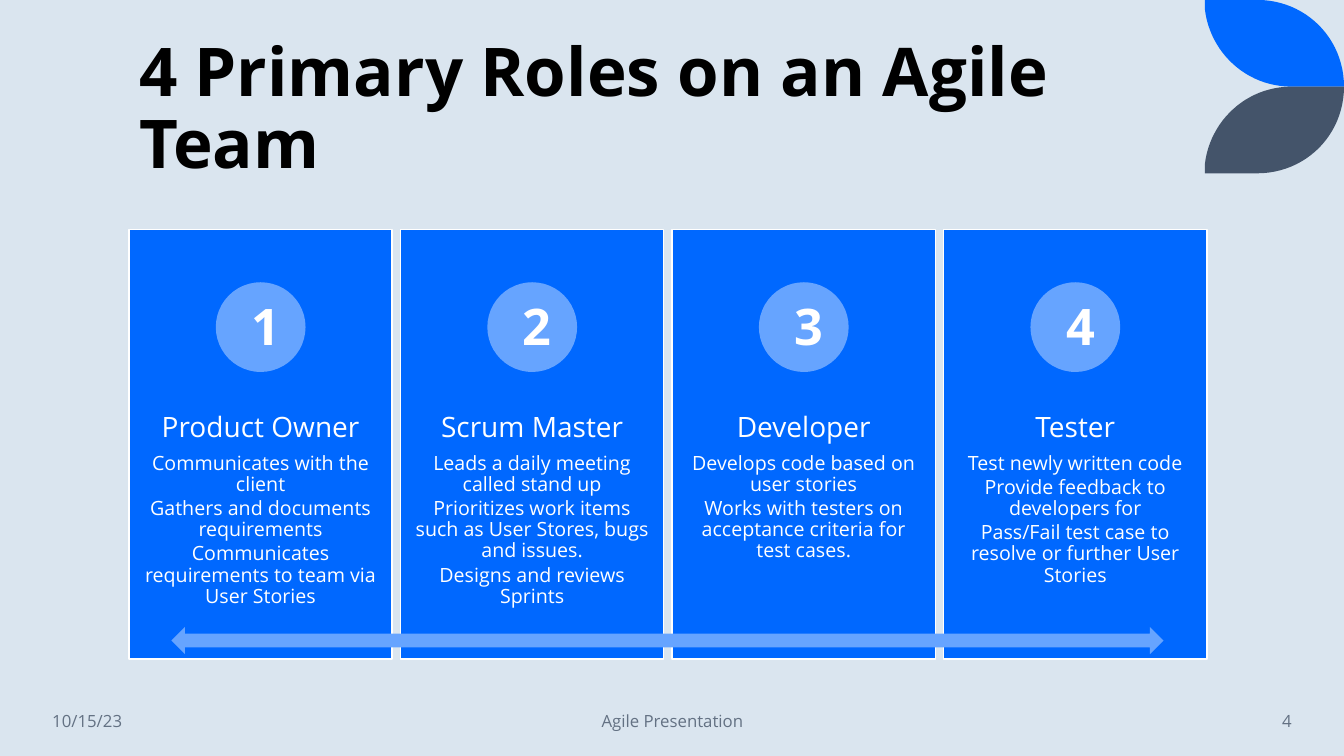
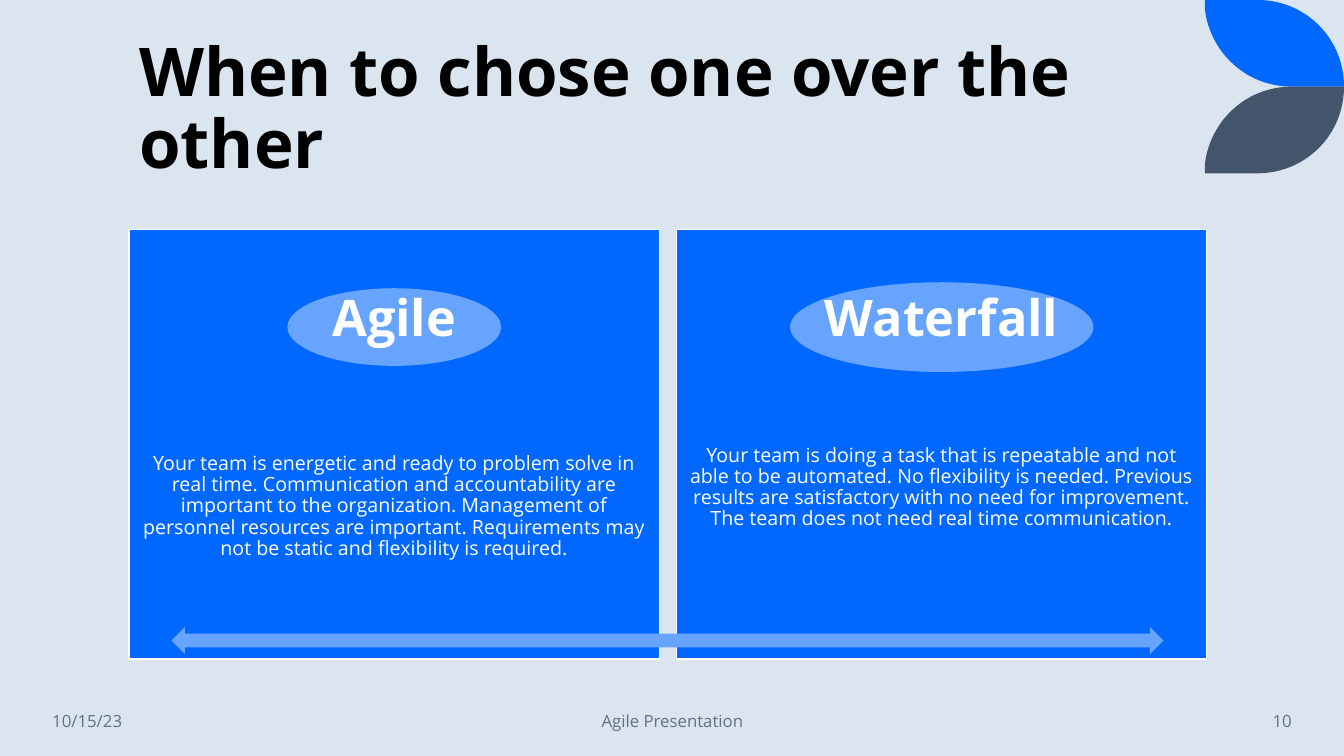
from pptx import Presentation
from pptx.dml.color import RGBColor
from pptx.enum.shapes import MSO_SHAPE
from pptx.enum.text import MSO_ANCHOR, MSO_AUTO_SIZE, PP_ALIGN
from pptx.util import Inches, Pt

RECT, OVAL, ARROW = MSO_SHAPE.RECTANGLE, MSO_SHAPE.OVAL, MSO_SHAPE.LEFT_RIGHT_ARROW
TOP, MIDDLE, BOTTOM = MSO_ANCHOR.TOP, MSO_ANCHOR.MIDDLE, MSO_ANCHOR.BOTTOM
LEFT, CENTER, RIGHT = PP_ALIGN.LEFT, PP_ALIGN.CENTER, PP_ALIGN.RIGHT

FONT = "Open Sans"
COLORS = {
    "background": "DAE5EF",
    "blue": "0068FF",
    "light_blue": "66A4FF",
    "slate": "44546A",
    "title": "000000",
    "white": "FFFFFF",
    "footer": "637183",
}
ROW_LEFT, ROW_WIDTH = 1.28, 10.69
CARD_TOP, CARD_HEIGHT = 2.28, 4.26
OVAL_MIDDLE = 3.245
LEAF_HEIGHT = 0.86
INSET = 0.11

# Each card: label, oval size, heading, points, top inset, anchor
CIRCLE = (0.89, 0.89)
SLIDES = [
    {
        "title": "4 Primary Roles on an Agile Team",
        "number": "4",
        "card_width": 2.61,
        "label_width": 0.38,
        "label_top": 2.88,
        "cards": [
            ("1", CIRCLE, "Product Owner", [
                "Communicates with the client",
                "Gathers and documents requirements",
                "Communicates requirements to team via User Stories",
            ], INSET, TOP),
            ("2", CIRCLE, "Scrum Master", [
                "Leads a daily meeting called stand up",
                "Prioritizes work items such as User Stores, bugs and issues.",
                "Designs and reviews Sprints",
            ], INSET, TOP),
            ("3", CIRCLE, "Developer", [
                "Develops code based on user stories",
                "Works with testers on acceptance criteria for test cases.",
            ], INSET, TOP),
            ("4", CIRCLE, "Tester", [
                "Test newly written code",
                "Provide feedback to developers for",
                "Pass/Fail test case to resolve or further User Stories",
            ], INSET, TOP),
        ],
    },
    {
        "title": "When to chose one over the other",
        "number": "10",
        "card_width": 5.26,
        "label_width": 3.23,
        "label_top": 2.79,
        "cards": [
            ("Agile", (2.12, 0.77), None, [
                "Your team is energetic and ready to problem solve in real time. "
                "Communication and accountability are important to the "
                "organization. Management of personnel resources are important. "
                "Requirements may not be static and flexibility is required.",
            ], 0.51, TOP),
            ("Waterfall", (3.01, 0.89), None, [
                "Your team is doing a task that is repeatable and not able to be "
                "automated. No flexibility is needed. Previous results are "
                "satisfactory with no need for improvement. The team does not "
                "need real time communication.",
            ], INSET, MIDDLE),
        ],
    },
]


def write(sp, lines, color, align=CENTER, anchor=TOP, bold=False, spacing=None):
    """Fill a shape with paragraphs given as (text, size, space after)."""
    tf = sp.text_frame
    tf.word_wrap = True
    tf.auto_size = MSO_AUTO_SIZE.NONE
    tf.vertical_anchor = anchor
    for i, (text, size, after) in enumerate(lines):
        p = tf.add_paragraph() if i else tf.paragraphs[0]
        p.text = text
        p.alignment = align
        p.line_spacing = spacing
        p.space_after = Pt(after)
        font = p.runs[0].font
        font.name, font.size, font.bold = FONT, Pt(size), bold
        font.color.rgb = RGBColor.from_string(COLORS[color])
    return tf


def paint(sp, fill, line=None):
    """Give a shape a flat fill and an optional 1 pt outline."""
    sp.shadow.inherit = False
    sp.fill.solid()
    sp.fill.fore_color.rgb = RGBColor.from_string(COLORS[fill])
    if line:
        sp.line.color.rgb = RGBColor.from_string(COLORS[line])
        sp.line.width = Pt(1)
    else:
        sp.line.fill.background()


prs = Presentation()
prs.slide_width, prs.slide_height = Inches(13.33), Inches(7.5)
background = prs.slide_master.background.fill
background.solid()
background.fore_color.rgb = RGBColor.from_string(COLORS["background"])

# Outline of the upper leaf: two Bezier curves sampled into short segments
leaf = [(11.95, 0)]
for curve in (
    [(12.47, 0), (12.95, 0), (13.33, 0.38), (13.33, LEAF_HEIGHT)],
    [(12.81, LEAF_HEIGHT), (12.36, LEAF_HEIGHT), (12, 0.52), (11.95, 0.09)],
):
    for step in range(25):
        t = step / 24
        weights = ((1 - t) ** 3, 3 * t * (1 - t) ** 2, 3 * t**2 * (1 - t), t**3)
        leaf.append(tuple(sum(w * pt[axis] for w, pt in zip(weights, curve))
                          for axis in (0, 1)))
mirrored_leaf = [(x, 2 * LEAF_HEIGHT - y) for x, y in leaf]

for page in SLIDES:
    s = prs.slides.add_slide(prs.slide_layouts[5])
    shapes = s.shapes

    for outline, color in ((leaf, "blue"), (mirrored_leaf, "slate")):
        points = [(Inches(x), Inches(y)) for x, y in outline]
        builder = shapes.build_freeform(*points[0])
        builder.add_line_segments(points[1:], close=True)
        paint(builder.convert_to_shape(), color)

    title = shapes.title
    title.left, title.top = Inches(ROW_LEFT), Inches(0.15)
    title.width, title.height = Inches(ROW_WIDTH), Inches(1.72)
    write(title, [(page["title"], 48, 0)], "title", LEFT, BOTTOM, True, 0.9)

    width = page["card_width"]
    pitch = (ROW_WIDTH - width) / (len(page["cards"]) - 1)
    for i, (label, oval_size, heading, points, inset, anchor) in enumerate(page["cards"]):
        left = ROW_LEFT + i * pitch
        center = left + width / 2
        card = shapes.add_shape(RECT, Inches(left), Inches(CARD_TOP),
                                Inches(width), Inches(CARD_HEIGHT))
        paint(card, "blue", "white")

        lines = [(heading, 20, 7)] if heading else []
        lines += [(point, 14, 2.1) for point in points]
        body = shapes.add_textbox(Inches(left), Inches(3.99), Inches(width), Inches(1.7))
        tf = write(body, lines, "white", anchor=anchor, spacing=0.9)
        tf.margin_left = tf.margin_right = tf.margin_bottom = Inches(INSET)
        tf.margin_top = Inches(inset)

        oval_width, oval_height = oval_size
        oval = shapes.add_shape(OVAL, Inches(center - oval_width / 2),
                                Inches(OVAL_MIDDLE - oval_height / 2),
                                Inches(oval_width), Inches(oval_height))
        paint(oval, "light_blue")

        label_width = page["label_width"]
        label_box = shapes.add_textbox(Inches(center - label_width / 2),
                                       Inches(page["label_top"]),
                                       Inches(label_width), Inches(0.71))
        write(label_box, [(label, 36, 0)], "white", bold=True)

    arrow = shapes.add_shape(ARROW, Inches(1.7), Inches(6.22), Inches(9.84), Inches(0.27))
    paint(arrow, "light_blue")

    for text, left, width, align in (
        ("10/15/23", 0.42, 1.86, LEFT),
        ("Agile Presentation", 4.42, 4.5, CENTER),
        (page["number"], 11.1, 1.81, RIGHT),
    ):
        footer = shapes.add_textbox(Inches(left), Inches(6.95), Inches(width), Inches(0.4))
        write(footer, [(text, 12, 0)], "footer", align, MIDDLE)

prs.save("out.pptx")
